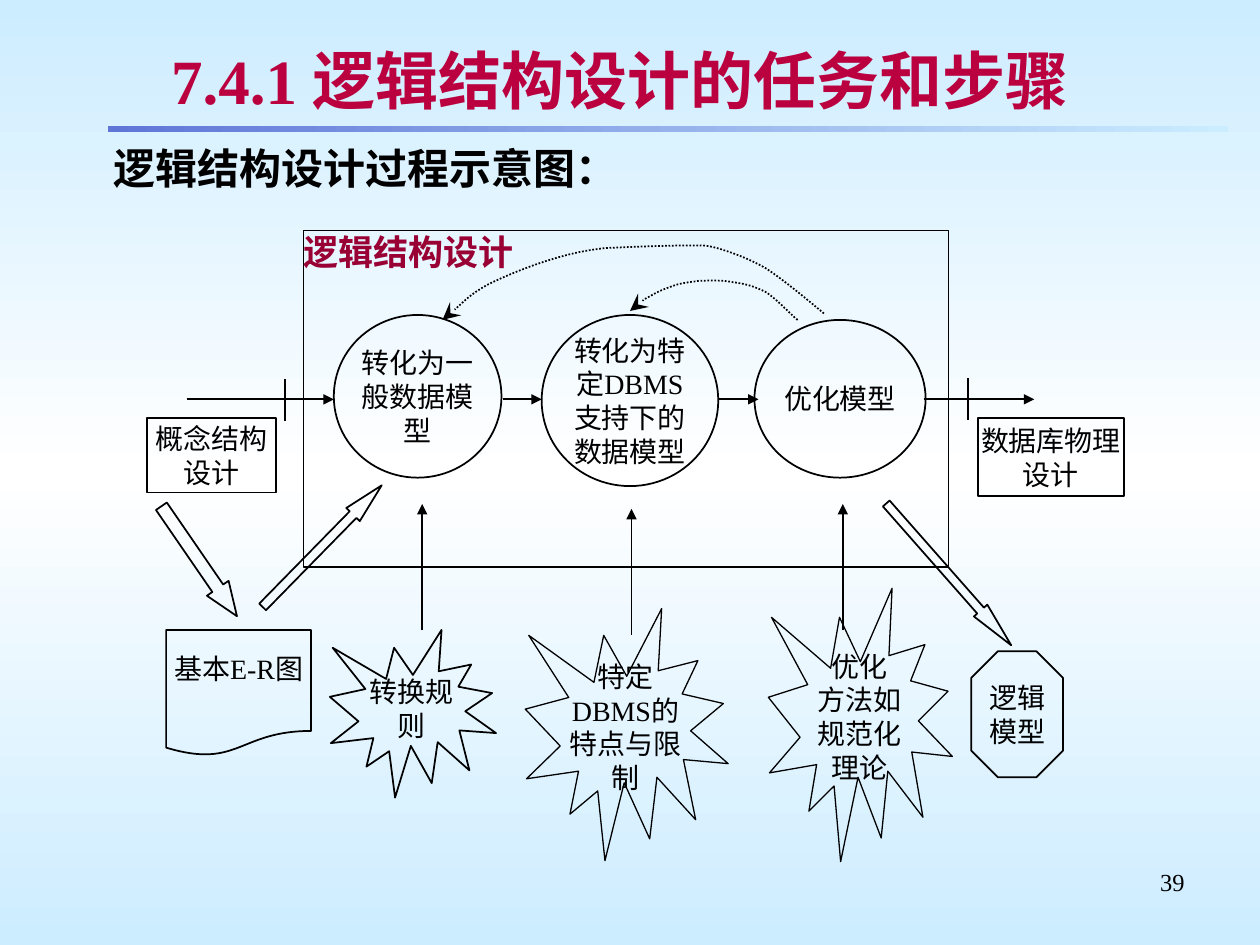
from copy import deepcopy

from lxml import etree
from pptx import Presentation
from pptx import util as u
from pptx.dml.color import RGBColor
from pptx.enum import dml, shapes, text
from pptx.oxml.ns import qn

BLACK = RGBColor(0x00, 0x00, 0x00)
WHITE = RGBColor(0xFF, 0xFF, 0xFF)
SKY = RGBColor(0xCC, 0xEC, 0xFF)
BLUE = RGBColor(0x5F, 0x76, 0xD7)
CRIMSON = RGBColor(0xBA, 0x00, 0x3E)
MAROON = RGBColor(0x99, 0x00, 0x33)

KIND = shapes.MSO_SHAPE
ALIGN = text.PP_ALIGN
ANCHOR = text.MSO_ANCHOR
FLOW_Y = 8.05

# Bezier nodes and handles in cm, running back from the optimised model
INNER_LOOP = [
    (16.08, 6.45), (15.98, 6.38), (15.65, 6.02), (15.44, 5.89), (15.21, 5.77),
    (15.01, 5.72), (14.78, 5.69), (14.55, 5.64), (14.27, 5.66), (14.1, 5.66),
    (13.92, 5.69), (13.82, 5.69), (13.64, 5.74), (13.49, 5.79), (13.26, 5.87),
    (13.11, 5.97), (12.95, 6.05), (12.78, 6.2), (12.7, 6.27)]
OUTER_LOOP = [
    (16.61, 6.32), (16.43, 6.17), (15.8, 5.64), (15.44, 5.41), (15.09, 5.21),
    (14.73, 5.08), (14.45, 5), (14.17, 4.93), (14.17, 4.95), (13.82, 4.95),
    (13.44, 4.95), (12.7, 4.98), (12.22, 5), (11.76, 5.05), (11.43, 5.13),
    (11.02, 5.26), (10.64, 5.38), (10.19, 5.56), (9.83, 5.74), (9.47, 5.94),
    (9.12, 6.3), (8.92, 6.45)]


def cm(values):
    return [u.Cm(value) for value in values]


class Diagram:
    font = {"name": "Times New Roman", "size": u.Pt(16), "color": BLACK}

    def __init__(self, page):
        self.page = page

    def backdrop(self, colors):
        """Vertical gradient with evenly spaced stops."""
        fill = self.page.background.fill
        fill.gradient()
        fill.gradient_angle = 90
        first = fill.gradient_stops[0]._gs
        first.addnext(deepcopy(first))
        for index, (stop, color) in enumerate(zip(fill.gradient_stops, colors)):
            stop.color.rgb = color
            stop.position = index / (len(colors) - 1)

    def set_words(self, item, words, align=ALIGN.CENTER, anchor=ANCHOR.MIDDLE,
                  insets=(0, 0, 0, 0), before=0, **font):
        frame = item.text_frame
        frame.text = words
        left, top, right, bottom = cm(insets)
        layout = {"word_wrap": True, "vertical_anchor": anchor, "margin_left": left,
                  "margin_top": top, "margin_right": right, "margin_bottom": bottom}
        for name, value in layout.items():
            setattr(frame, name, value)
        for para in frame.paragraphs:
            para.alignment = align
            para.space_before = u.Pt(before)
            for span in para.runs:
                for name, value in {**self.font, **font}.items():
                    if name == "color":
                        span.font.color.rgb = value
                    else:
                        setattr(span.font, name, value)

    def label(self, at, words, **style):
        box = self.page.shapes.add_textbox(*cm(at))
        self.set_words(box, words, **style)
        return box

    def outline(self, item, weight=1, head=None, size="med"):
        item.line.color.rgb = BLACK
        item.line.width = u.Pt(weight)
        if head:
            line = item._element.spPr.find(qn("a:ln"))
            etree.SubElement(line, qn("a:tailEnd"), type=head, w=size, len=size)

    def shape(self, kind, at, words="", weight=1, turn=0, adjust=(), **style):
        item = self.page.shapes.add_shape(kind, *cm(at))
        item.shadow.inherit = False
        item.fill.background()
        item.rotation = turn
        for index, value in enumerate(adjust):
            item.adjustments[index] = value
        self.outline(item, weight)
        if words:
            self.set_words(item, words, **style)

    def band(self, at, colors):
        item = self.page.shapes.add_shape(KIND.RECTANGLE, *cm(at))
        item.shadow.inherit = False
        item.line.fill.background()
        item.fill.gradient()
        item.fill.gradient_angle = 0
        for stop, color in zip(item.fill.gradient_stops, colors):
            stop.color.rgb = color

    def line(self, start, end, head=None):
        item = self.page.shapes.add_connector(
            shapes.MSO_CONNECTOR.STRAIGHT, *cm(start + end))
        self.outline(item, head=head)
        etree.SubElement(item._element.spPr, qn("a:effectLst"))

    def curve(self, nodes):
        """Dotted Bezier arrow; every three points after the first make a segment."""
        start, *rest = [cm(node) for node in nodes]
        builder = self.page.shapes.build_freeform(*start)
        builder.add_line_segments(rest, close=False)
        item = builder.convert_to_shape()
        steps = list(item._element.iter(qn("a:lnTo")))
        for first, second, third in zip(steps[::3], steps[1::3], steps[2::3]):
            bend = etree.Element(qn("a:cubicBezTo"))
            first.addprevious(bend)
            for step in (first, second, third):
                bend.append(step[0])
                step.getparent().remove(step)
        item.shadow.inherit = False
        item.fill.background()
        item.line.dash_style = dml.MSO_LINE.ROUND_DOT
        self.outline(item, head="stealth", size="lg")


def add_text_shadow(box):
    for span in box.text_frame.paragraphs[0].runs:
        effects = etree.Element(qn("a:effectLst"))
        span.font.fill._xPr.find(qn("a:solidFill")).addnext(effects)
        shadow = etree.SubElement(effects, qn("a:outerShdw"), dist="25400", dir="2700000")
        etree.SubElement(shadow, qn("a:srgbClr"), val="C0C0C0")


def main():
    deck = Presentation()
    deck.slide_width, deck.slide_height = cm((25.4, 19.05))
    diagram = Diagram(deck.slides.add_slide(deck.slide_layouts[6]))
    diagram.backdrop([SKY, WHITE, SKY])
    diagram.band((2.18, 2.54, 22.58, 0.13), [BLUE, SKY])

    diagram.label((18.21, 17.35, 5.92, 1.32), "39", align=ALIGN.RIGHT,
                  anchor=ANCHOR.TOP, insets=(0.25, 0.13, 0.25, 0.13), size=u.Pt(14))
    title = diagram.label((3.2, 0.74, 20.93, 1.7), "7.4.1 逻辑结构设计的任务和步骤",
                          align=ALIGN.LEFT, insets=(0.25, 0.1, 0.25, 0.1),
                          size=u.Pt(36), color=CRIMSON, bold=True)
    add_text_shadow(title)
    diagram.label((1.07, 2.74, 23.5, 1.27), "逻辑结构设计过程示意图：", align=ALIGN.LEFT,
                  anchor=ANCHOR.TOP, insets=(1.22, 0.13, 0.25, 0.13), before=4.5,
                  size=u.Pt(24), bold=True)

    for at, words, weight in [
            ((10.59, 12.27, 4.09, 5.08), "特定DBMS的特点与限制", 0.75),
            ((15.49, 11.86, 3.71, 5.51), "优化\n方法如规范化理论", 0.75),
            ((6.65, 12.7, 3.35, 3.38), "转换规则", 1)]:
        diagram.shape(KIND.EXPLOSION1, at, words, weight)

    diagram.shape(KIND.RECTANGLE, (6.12, 4.65, 13, 6.78), "逻辑结构设计",
                  align=ALIGN.LEFT, anchor=ANCHOR.TOP, insets=(0, 0, 0, 0.13),
                  size=u.Pt(20), color=MAROON, bold=True)

    for kind, at, words in [
            (KIND.OVAL, (6.73, 6.35, 3.38, 3.28), "转化为一般数据模型"),
            (KIND.OVAL, (10.92, 6.35, 3.56, 3.45), "转化为特定DBMS支持下的数据模型"),
            (KIND.OVAL, (15.21, 6.45, 3.45, 3.18), "优化模型"),
            (KIND.RECTANGLE, (2.97, 8.43, 2.59, 1.5), "概念结构设计"),
            (KIND.RECTANGLE, (19.71, 8.43, 2.95, 1.57), "数据库物理设计")]:
        diagram.shape(kind, at, words)
    diagram.shape(KIND.FLOWCHART_DOCUMENT, (3.35, 12.7, 2.92, 2.54), "基本E-R图",
                  insets=(0, 0, 0, 0.51))
    diagram.shape(KIND.OCTAGON, (19.58, 13.13, 1.85, 2.54), "逻辑\n模型", adjust=[0.29])

    for left, right in [(3.76, 6.73), (10.13, 10.92), (14.5, 15.29), (18.62, 20.85)]:
        diagram.line((left, FLOW_Y), (right, FLOW_Y), "triangle")
    for x, top in [(5.74, 7.65), (19.51, 7.62)]:
        diagram.line((x, top), (x, top + 0.84))
    for x, bottom in [(8.51, 12.7), (12.73, 12.8), (16.99, 12.7)]:
        diagram.line((x, bottom), (x, bottom - 2.54), "triangle")

    for at, turn, head in [((2.67, 11.05, 2.69, 0.53), 55.5, 1.29),
                           ((17.22, 11.4, 3.81, 0.36), 48.6, 2.59),
                           ((4.78, 10.82, 3.43, 0.38), 314.4, 2.17)]:
        diagram.shape(KIND.RIGHT_ARROW, at, turn=turn, adjust=[0.5, head])
    for loop in (INNER_LOOP, OUTER_LOOP):
        diagram.curve(loop)

    deck.save("out.pptx")


if __name__ == "__main__":
    main()
